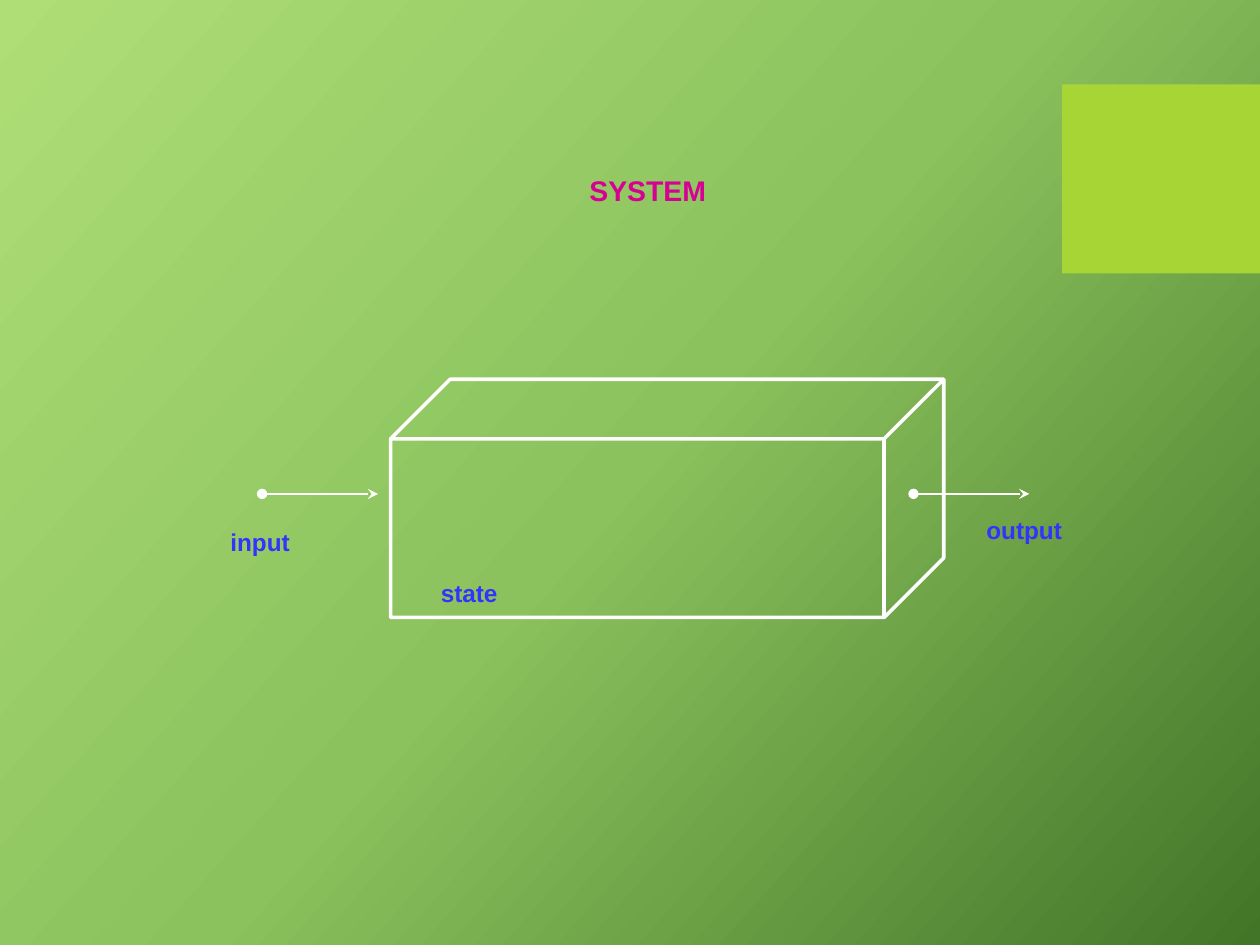
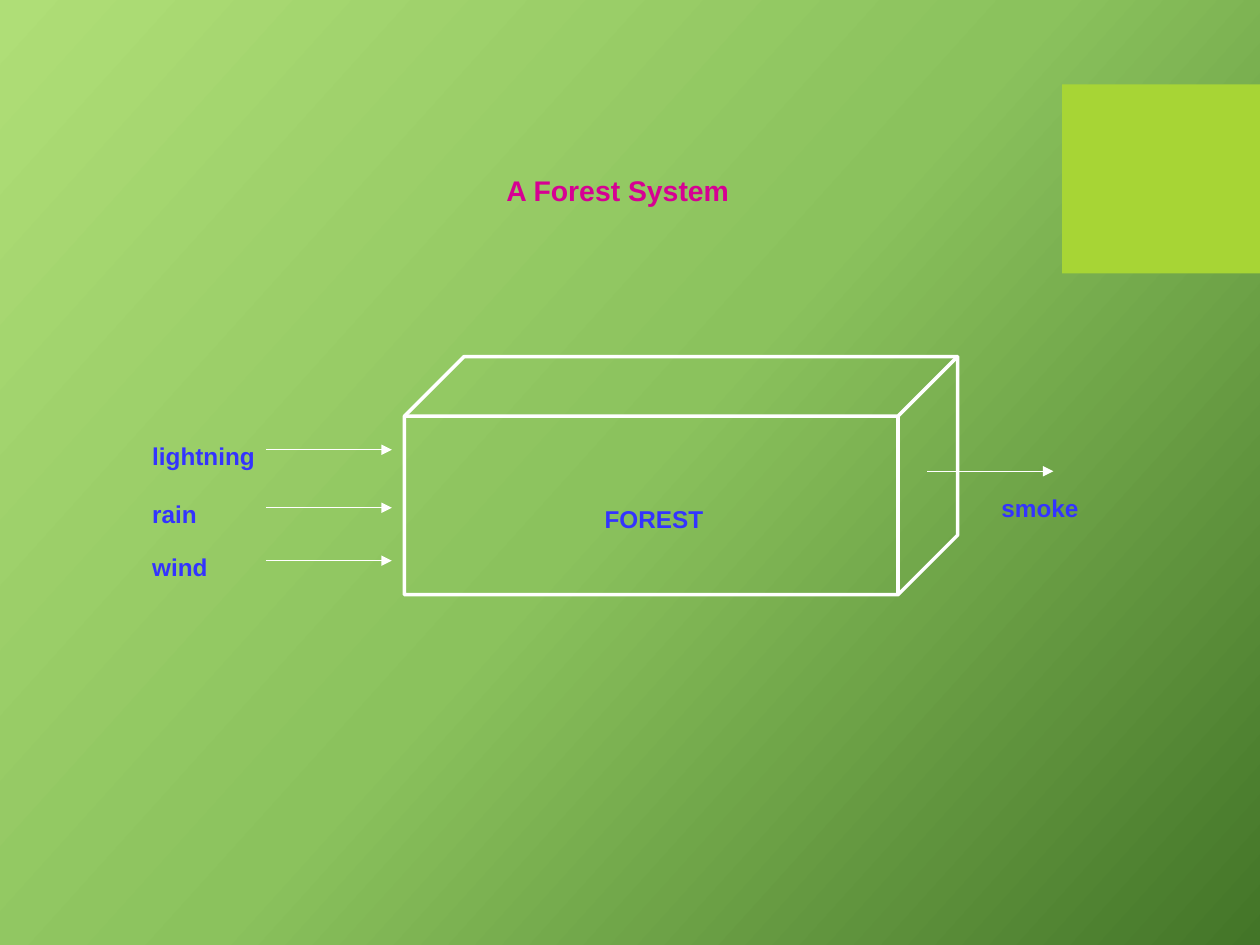
from copy import deepcopy

from lxml import etree
from pptx import Presentation
from pptx.dml.color import RGBColor
from pptx.enum.shapes import MSO_CONNECTOR, MSO_SHAPE
from pptx.enum.text import MSO_AUTO_SIZE
from pptx.oxml.ns import qn
from pptx.util import Pt

PX = 9144  # EMU per px, 100 px to the inch
RECT, CUBE = MSO_SHAPE.RECTANGLE, MSO_SHAPE.CUBE
STRAIGHT = MSO_CONNECTOR.STRAIGHT
GROW = MSO_AUTO_SIZE.SHAPE_TO_FIT_TEXT

WHITE = RGBColor(0xFF, 0xFF, 0xFF)
LIME = RGBColor(0xA7, 0xD5, 0x35)
PINK = RGBColor(0xD6, 0x00, 0x93)
BLUE = RGBColor(0x33, 0x33, 0xFF)
GREENS = [
    (0, RGBColor(0xAF, 0xDE, 0x77)),
    (0.5, RGBColor(0x8B, 0xC2, 0x5D)),
    (1, RGBColor(0x43, 0x75, 0x28)),
]


class Deck:
    def __init__(self):
        self.prs = Presentation()
        self.prs.slide_width = 1000 * PX
        self.prs.slide_height = 750 * PX
        self.slide = None
        self.backdrop()

    def backdrop(self):
        master = self.prs.slide_master
        fill = master.background.fill
        fill.gradient()
        fill.gradient_angle = 360 - 42
        stops = master.background._cSld.find(".//" + qn("a:gsLst"))
        stops.append(deepcopy(stops[0]))
        for stop, (place, color) in zip(fill.gradient_stops, GREENS):
            stop.position = place
            stop.color.rgb = color

    def page(self, title, left, width):
        self.slide = self.prs.slides.add_slide(self.prs.slide_layouts[6])
        band = self.shape(RECT, 843, 67, 157, 150)
        band.fill.solid()
        band.fill.fore_color.rgb = LIME
        band.line.fill.background()
        self.text(title, left, 117, width, 42, 28, PINK, True)

    def shape(self, kind, *box):
        shape = self.slide.shapes.add_shape(kind, *(n * PX for n in box))
        shape.shadow.inherit = False
        return shape

    def cube(self, left, top):
        cube = self.shape(CUBE, left, top, 439, 189)
        cube.adjustments[0] = 0.25
        cube.fill.background()
        cube.line.color.rgb = WHITE
        cube.line.width = Pt(2)

    def text(self, words, left, top, width, height, size, color, wrap):
        box = self.slide.shapes.add_textbox(
            left * PX, top * PX, width * PX, height * PX)
        frame = box.text_frame
        frame.word_wrap = wrap
        frame.auto_size = GROW
        para = frame.paragraphs[0]
        run = para.add_run()
        run.text = words
        # Slightly raised text
        run._r.get_or_add_rPr().set("baseline", "2000")
        font = para.font
        font.name, font.size, font.bold = "Arial", Pt(size), True
        font.color.rgb = color

    def label(self, words, left, top, width, wrap=False):
        self.text(words, left, top, width, 37, 24, BLUE, wrap)

    def arrow(self, left, y, length, weight, tail, head=None):
        line = self.slide.shapes.add_connector(
            STRAIGHT, left * PX, y * PX, (left + length) * PX, y * PX)
        line.line.color.rgb = WHITE
        line.line.width = Pt(weight)
        ln = line.line._get_or_add_ln()
        if head:
            etree.SubElement(ln, qn("a:headEnd"), type=head)
        etree.SubElement(ln, qn("a:tailEnd"), type=tail)
        etree.SubElement(line._element.spPr, qn("a:effectLst"))


def main():
    deck = Deck()

    # General system
    deck.page("SYSTEM", 458, 134)
    deck.cube(310, 301)
    for left in (208, 725):
        deck.arrow(left, 392, 92, 1, "stealth", "oval")
    deck.label("input", 173, 400, 74)
    deck.label("output", 773, 391, 89)
    deck.label("state", 340, 441, 72)

    # Forest system
    deck.page("A Forest System", 392, 242)
    deck.cube(321, 283)
    deck.label("FOREST", 470, 382, 158, True)
    for words, top, width in (
            ("lightning", 332, 114), ("rain", 378, 61), ("wind", 420, 71)):
        deck.label(words, 111, top, width)
        deck.arrow(211, top + 25, 100, 0.75, "triangle")
    deck.label("smoke", 785, 373, 90)
    deck.arrow(736, 374, 100, 0.75, "triangle")

    deck.prs.save("out.pptx")


if __name__ == "__main__":
    main()
